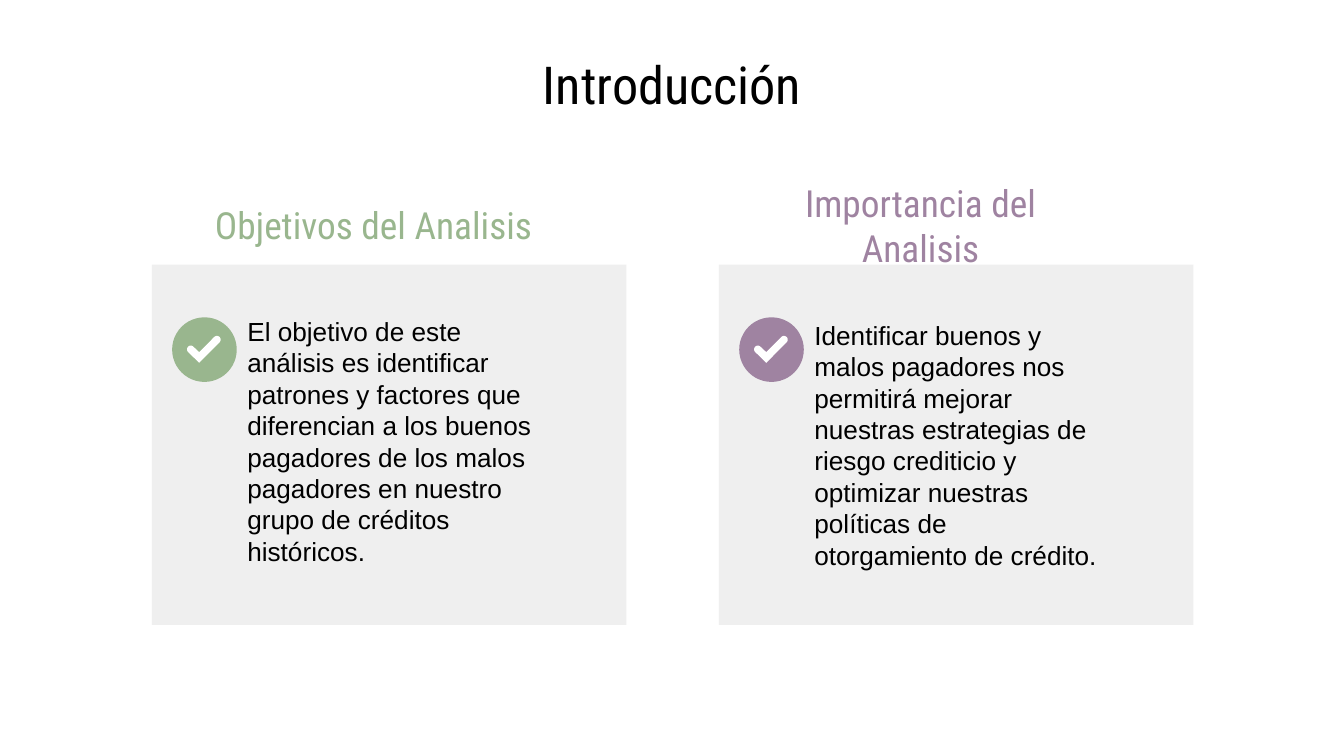
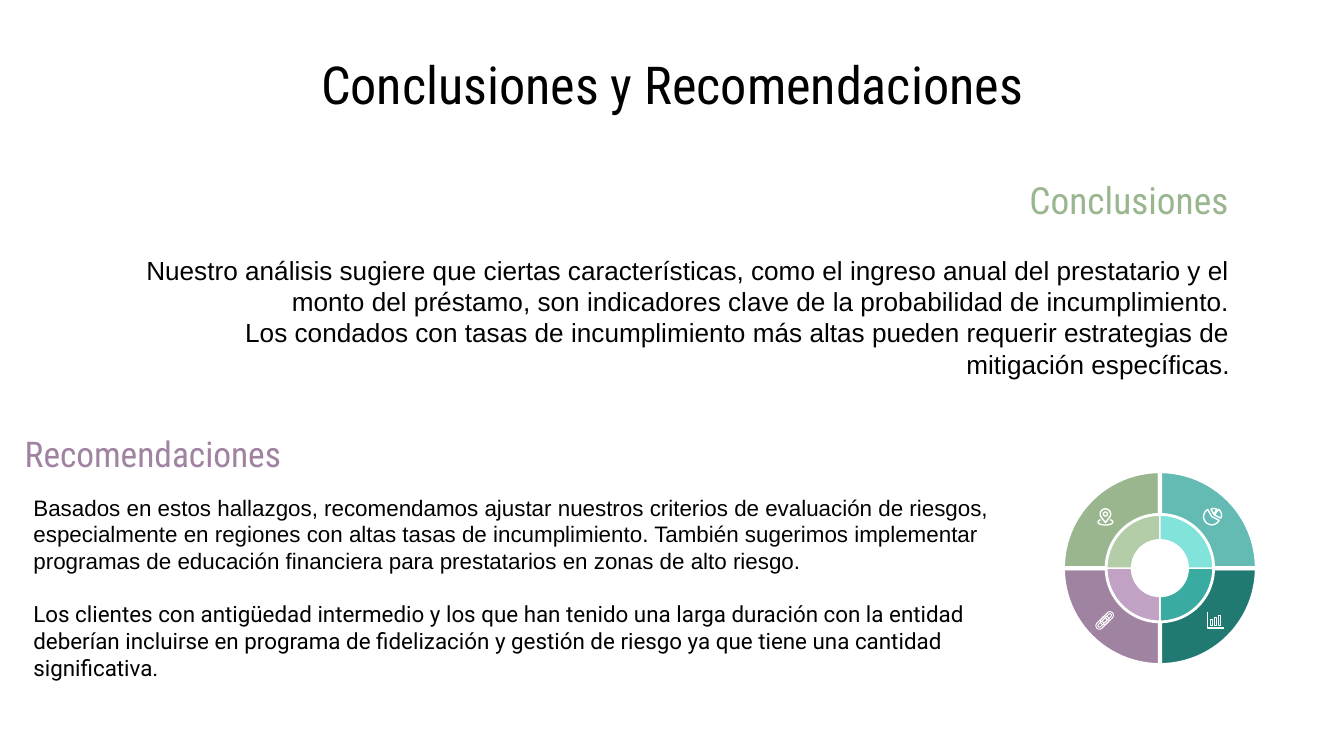
"""Build the introduction and conclusions slides of a credit risk analysis."""
from dataclasses import dataclass
from math import cos, radians, sin
from typing import Optional

from pptx import Presentation
from pptx.dml.color import RGBColor
from pptx.enum.shapes import MSO_SHAPE
from pptx.enum.text import MSO_ANCHOR, PP_ALIGN
from pptx.shapes.autoshape import Shape
from pptx.slide import Slide
from pptx.util import Pt

COLORS = {
    "black": "000000", "white": "FFFFFF", "card": "EFEFEF",
    "green": "99B68E", "purple": "9F83A1", "teal": "64BBB3", "pine": "217A72",
    "light_green": "B2CDA8", "light_purple": "C2A2C4",
    "light_teal": "81E3DA", "light_pine": "39ABA1",
}
HEADING_FONT = "Roboto Condensed"
BODY_FONT = "Arial"
Point = tuple[float, float]


@dataclass(frozen=True)
class Box:
    left: float
    top: float
    width: float
    height: float


@dataclass(frozen=True)
class Style:
    size: float
    font: str = BODY_FONT
    color: str = "black"
    align: PP_ALIGN = PP_ALIGN.LEFT
    inset: Point = (7.2, 7.2)


@dataclass(frozen=True)
class Card:
    left: float
    heading: str
    heading_left: float
    color: str
    body: str
    body_top: float
    body_height: float


@dataclass(frozen=True)
class Quadrant:
    start: float
    outer: str
    inner: str


CARDS = (
    Card(81.4, "Objetivos del Analisis", 103, "green",
         "El objetivo de este análisis es identificar patrones y factores que "
         "diferencian a los buenos pagadores de los malos pagadores en nuestro "
         "grupo de créditos históricos.", 168.5, 135.4),
    Card(385.2, "Importancia del Analisis", 396, "purple",
         "Identificar buenos y malos pagadores nos permitirá mejorar nuestras "
         "estrategias de riesgo crediticio y optimizar nuestras políticas de "
         "otorgamiento de crédito.", 156.2, 164.2),
)
CONCLUSIONS = (
    "Nuestro análisis sugiere que ciertas características, como el ingreso anual "
    "del prestatario y el monto del préstamo, son indicadores clave de la "
    "probabilidad de incumplimiento.",
    "Los condados con tasas de incumplimiento más altas pueden requerir "
    "estrategias de mitigación específicas.",
)
RECOMMENDATIONS = (
    "Basados en estos hallazgos, recomendamos ajustar nuestros criterios de "
    "evaluación de riesgos, especialmente en regiones con altas tasas de "
    "incumplimiento. También sugerimos implementar programas de educación "
    "financiera para prestatarios en zonas de alto riesgo.",
    "Los clientes con antigüedad intermedio y los que han tenido una larga "
    "duración con la entidad deberían incluirse en programa de fidelización y "
    "gestión de riesgo ya que tiene una cantidad significativa.",
)
QUADRANTS = (
    Quadrant(0, "pine", "light_pine"),
    Quadrant(90, "purple", "light_purple"),
    Quadrant(180, "green", "light_green"),
    Quadrant(270, "teal", "light_teal"),
)
WHEEL_CENTER = (621.4, 304.4)


def rgb(color: str) -> RGBColor:
    """Return a palette colour."""
    return RGBColor.from_string(COLORS[color])


def paint(shape: Shape, fill: Optional[str], line: Optional[str] = None,
          weight: float = 0.75) -> None:
    """Set fill and line, without a shadow."""
    shape.shadow.inherit = False
    if fill:
        shape.fill.solid()
        shape.fill.fore_color.rgb = rgb(fill)
    else:
        shape.fill.background()
    if line:
        shape.line.color.rgb = rgb(line)
        shape.line.width = Pt(weight)
    else:
        shape.line.fill.background()


def add_text(slide: Slide, box: Box, texts: tuple[str, ...], style: Style) -> Shape:
    """Add a vertically centred text box with one paragraph per text."""
    label = slide.shapes.add_textbox(
        Pt(box.left), Pt(box.top), Pt(box.width), Pt(box.height))
    frame = label.text_frame
    frame.word_wrap = True
    frame.vertical_anchor = MSO_ANCHOR.MIDDLE
    frame.margin_left = frame.margin_right = Pt(style.inset[0])
    frame.margin_top = frame.margin_bottom = Pt(style.inset[1])
    frame.text = "\n".join(texts)
    for paragraph in frame.paragraphs:
        paragraph.alignment = style.align
        for run in paragraph.runs:
            run.font.name = style.font
            run.font.size = Pt(style.size)
            run.font.color.rgb = rgb(style.color)
    return label


def add_preset(slide: Slide, kind: MSO_SHAPE, box: Box, fill: str) -> None:
    """Add a filled preset shape."""
    paint(slide.shapes.add_shape(
        kind, Pt(box.left), Pt(box.top), Pt(box.width), Pt(box.height)), fill)


def add_outline(slide: Slide, points: list[Point], fill: Optional[str] = None,
                line: Optional[str] = "white", weight: float = 0.75,
                close: bool = True) -> None:
    """Add a freeform through the given points."""
    corners = [(Pt(x), Pt(y)) for x, y in points]
    builder = slide.shapes.build_freeform(*corners[0])
    builder.add_line_segments(corners[1:], close=close)
    paint(builder.convert_to_shape(), fill, line, weight)


def arc(center: Point, radius: float, start: float, end: float,
        squash: float = 1) -> list[Point]:
    """Return points on an arc, with clockwise angles in degrees."""
    steps = 24
    angles = [radians(start + (end - start) * i / steps) for i in range(steps + 1)]
    return [(center[0] + radius * cos(a), center[1] + radius * squash * sin(a))
            for a in angles]


def add_title(slide: Slide, title: str) -> None:
    """Add the slide title."""
    add_text(slide, Box(36, 32.4, 648, 25.2), (title,),
             Style(28, HEADING_FONT, align=PP_ALIGN.CENTER))


def add_card(slide: Slide, card: Card) -> None:
    """Add a card with its heading, check mark and body."""
    inset = (2.9, 1.4)
    add_preset(slide, MSO_SHAPE.RECTANGLE, Box(card.left, 141.8, 254.2, 193), "card")
    add_preset(slide, MSO_SHAPE.OVAL, Box(card.left + 10.8, 170, 34.6, 34.6), card.color)
    x, y = card.left + 18.8, 180
    check = (arc((x + 2, y + 7.2), 2, 135, 315) + [(x + 6.5, y + 8.7)]
             + arc((x + 16, y + 2), 2, 225, 405) + [(x + 6.5, y + 14.4)])
    add_outline(slide, check, "white", None)
    add_text(slide, Box(card.left + 48.2, card.body_top, 162.5, card.body_height),
             (card.body,), Style(14, inset=inset))
    add_text(slide, Box(card.heading_left, 106, 194.4, 28.8), (card.heading,),
             Style(20, HEADING_FONT, card.color, PP_ALIGN.CENTER, inset))


def add_wheel(slide: Slide) -> None:
    """Add the two rings of quadrants."""
    for outer, inner, weight in ((52, 28.4, 2.25), (28.4, 15.2, 0.75)):
        for quadrant in QUADRANTS:
            start, end = quadrant.start, quadrant.start + 90
            sector = (arc(WHEEL_CENTER, outer, start, end)
                      + arc(WHEEL_CENTER, inner, end, start))
            color = quadrant.outer if weight > 1 else quadrant.inner
            add_outline(slide, sector, color, "white", weight)


def add_wheel_icons(slide: Slide) -> None:
    """Add the pin, pie, link and bar icons."""
    pin_head = (592.2, 275.4)
    add_outline(slide, arc(pin_head, 2.8, 150, 390) + [(592.2, 280)])
    add_outline(slide, arc(pin_head, 1.1, 0, 360))
    add_outline(slide, arc((592.2, 279.7), 4, -50, 230, 0.4), close=False)
    for apex, radius, start, end in (((649.2, 276.8), 4.4, 27, 240),
                                     ((650.6, 276), 3.8, -55, 25),
                                     ((650.3, 275.5), 3.1, -120, -60)):
        add_outline(slide, [apex] + arc(apex, radius, start, end))
    for upper, lower in (((594.6, 329.6), (591.4, 332.8)),
                         ((592.2, 332), (589, 335.2))):
        for radius in (1.9, 0.8):
            add_outline(slide, arc(upper, radius, -135, 45)
                        + arc(lower, radius, 45, 225), weight=0.5)
    for i in range(3):
        left, top, base = 648.4 + 2.2 * i, 331.9 - 1.2 * i, 335.2
        add_outline(slide, [(left, top), (left + 1.2, top),
                            (left + 1.2, base), (left, base)], weight=0.5)
    add_outline(slide, [(646.8, 327.8), (646.8, 336.5), (655.8, 336.5)], close=False)


def build_introduction(slide: Slide) -> None:
    """Fill the introduction slide."""
    add_title(slide, "Introducción")
    for card in CARDS:
        add_card(slide, card)


def build_conclusions(slide: Slide) -> None:
    """Fill the conclusions slide."""
    right = PP_ALIGN.RIGHT
    add_title(slide, "Conclusiones y Recomendaciones")
    add_text(slide, Box(468, 97.2, 197.3, 19.4), ("Conclusiones",),
             Style(20, HEADING_FONT, "green", right))
    add_text(slide, Box(64, 121, 602, 97.2), CONCLUSIONS, Style(14, align=right))
    add_text(slide, Box(0, 233.3, 157.7, 19.4), ("Recomendaciones",),
             Style(19, HEADING_FONT, "purple", right))
    advice = add_text(slide, Box(10.8, 259.2, 553, 111), RECOMMENDATIONS, Style(12))
    loyalty = advice.text_frame.paragraphs[1]
    loyalty.space_before = Pt(14)
    loyalty.runs[0].font.name = "Roboto"
    add_wheel(slide)
    add_wheel_icons(slide)


def main() -> None:
    """Build and save the presentation."""
    deck = Presentation()
    deck.slide_width, deck.slide_height = Pt(720), Pt(405)
    for build in (build_introduction, build_conclusions):
        build(deck.slides.add_slide(deck.slide_layouts[6]))
    deck.save("out.pptx")


if __name__ == "__main__":
    main()
